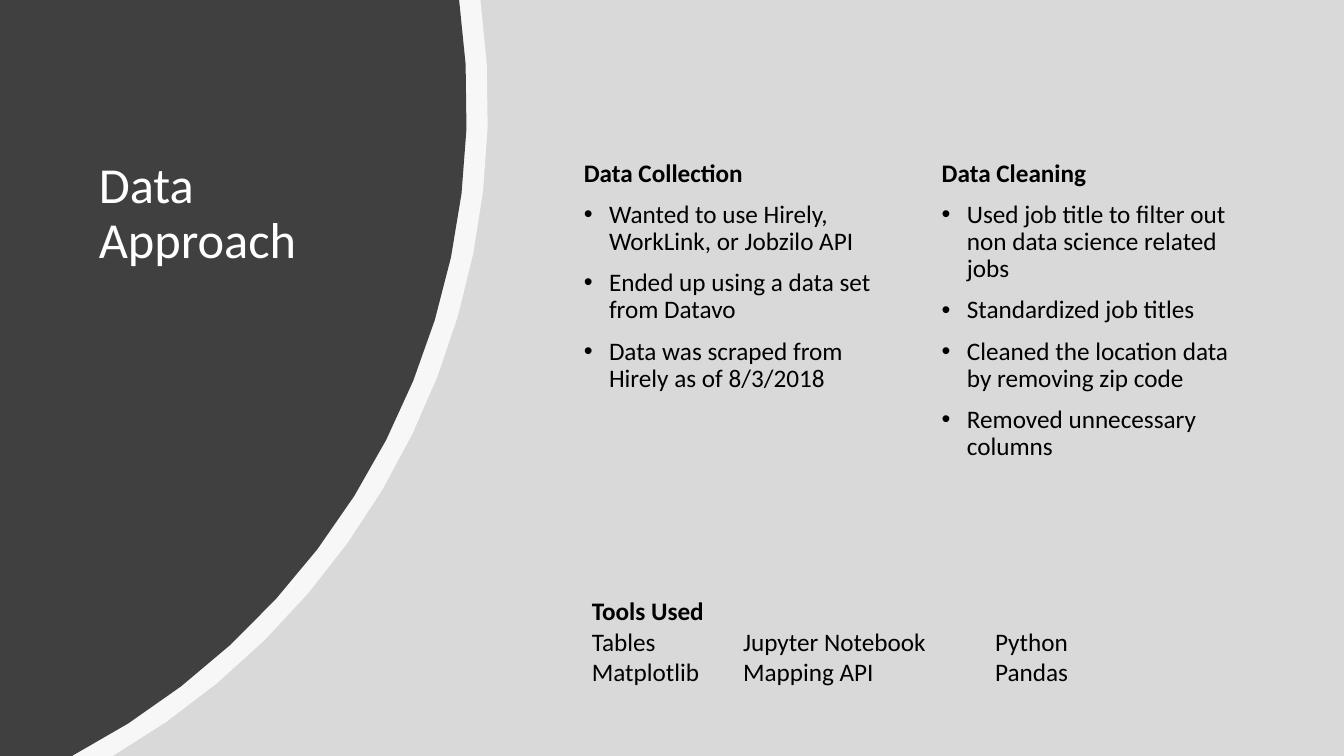
import math
from dataclasses import dataclass

from lxml import etree
from pptx import Presentation
from pptx.dml.color import RGBColor
from pptx.enum.shapes import MSO_SHAPE
from pptx.enum.text import MSO_ANCHOR, MSO_AUTO_SIZE, PP_ALIGN
from pptx.oxml.ns import qn
from pptx.util import Inches, Pt

RECTANGLE = MSO_SHAPE.RECTANGLE
TOP = MSO_ANCHOR.TOP
LEFT = PP_ALIGN.LEFT
NO_AUTOFIT = MSO_AUTO_SIZE.NONE
TWO_CONTENT_LAYOUT = 3
WIDTH, HEIGHT = 13.33, 7.5
ARC_STEPS = 14


@dataclass(frozen=True)
class Theme:
    font: str = "Calibri"
    title_size: int = 36
    body_size: int = 18
    background: str = "D9D9D9"
    panel: str = "404040"
    light: str = "FFFFFF"
    text: str = "000000"


THEME = Theme()

COLLECTION = (
    "Data Collection",
    ["Wanted to use Hirely, WorkLink, or Jobzilo API",
     "Ended up using a data set from Datavo",
     "Data was scraped from Hirely as of 8/3/2018"],
)
CLEANING = (
    "Data Cleaning",
    ["Used job title to filter out non data science related jobs",
     "Standardized job titles",
     "Cleaned the location data by removing zip code",
     "Removed unnecessary columns"],
)
TOOLS = (
    "Tools Used",
    [["Tables", "Jupyter Notebook", "Python"],
     ["Matplotlib", "Mapping API", "Pandas"]],
)


def format_font(paragraph, size, color, bold=False):
    font = paragraph.font
    font.name = THEME.font
    font.size = Pt(size)
    font.bold = bold
    font.color.rgb = RGBColor.from_string(color)


def place(shape, box):
    shape.left, shape.top, shape.width, shape.height = map(Inches, box)


def paint(shape, color, alpha=None):
    shape.shadow.inherit = False
    shape.fill.solid()
    shape.fill.fore_color.rgb = RGBColor.from_string(color)
    shape.line.fill.background()
    if alpha is not None:
        color_element = shape.element.spPr.find(qn("a:solidFill"))[0]
        etree.SubElement(color_element, qn("a:alpha"), val=str(alpha * 1000))


def add_disc_panel(slide, center_x, center_y, radius, color, alpha=None):
    """Fill the part of a large disc that lies on the slide."""
    start = math.asin(-center_y / radius)
    end = math.asin((HEIGHT - center_y) / radius)
    angles = [start + (end - start) * step / ARC_STEPS
              for step in range(ARC_STEPS + 1)]
    arc = [(Inches(center_x + radius * math.cos(angle)),
            Inches(center_y + radius * math.sin(angle))) for angle in angles]
    builder = slide.shapes.build_freeform(0, 0)
    builder.add_line_segments(arc + [(0, Inches(HEIGHT))], close=True)
    panel = builder.convert_to_shape()
    paint(panel, color, alpha)
    return panel


def add_backdrop(slide):
    background = slide.shapes.add_shape(
        RECTANGLE, 0, 0, Inches(WIDTH), Inches(HEIGHT))
    paint(background, THEME.background)
    rim = add_disc_panel(slide, -2.61, 1.05, 7.45, THEME.light, alpha=80)
    panel = add_disc_panel(slide, -2.64, 1.05, 7.27, THEME.panel)
    # Keep the backdrop behind the placeholders
    tree = slide.shapes.element
    for position, shape in enumerate((background, rim, panel), start=2):
        tree.insert(position, shape.element)


def fill_title(title, box, text):
    place(title, box)
    frame = title.text_frame
    frame.text = text
    frame.word_wrap = True
    frame.auto_size = NO_AUTOFIT
    frame.vertical_anchor = TOP
    paragraph = frame.paragraphs[0]
    paragraph.alignment = LEFT
    paragraph.line_spacing = 0.9
    format_font(paragraph, THEME.title_size, THEME.light)


def set_bullet(paragraph, bulleted):
    properties = paragraph._p.get_or_add_pPr()
    indent = Inches(0.25) if bulleted else 0
    properties.set("marL", str(indent))
    properties.set("indent", str(-indent))
    if bulleted:
        etree.SubElement(properties, qn("a:buFont"), typeface="Arial")
        etree.SubElement(properties, qn("a:buChar"), char="•")
    else:
        etree.SubElement(properties, qn("a:buNone"))


def fill_column(body, box, heading, items):
    place(body, box)
    frame = body.text_frame
    frame.text = "\n".join([heading] + items)
    frame.auto_size = NO_AUTOFIT
    frame.vertical_anchor = TOP
    for index, paragraph in enumerate(frame.paragraphs):
        set_bullet(paragraph, bulleted=index > 0)
        paragraph.line_spacing = 0.9
        paragraph.space_before = Pt(10)
        format_font(paragraph, THEME.body_size, THEME.text, bold=index == 0)


def add_tools(slide, box, heading, rows):
    text_box = slide.shapes.add_textbox(*map(Inches, box))
    frame = text_box.text_frame
    frame.word_wrap = True
    frame.margin_left = Inches(0.6)
    frame.text = "\n".join([heading] + ["\t".join(row) for row in rows])
    for index, paragraph in enumerate(frame.paragraphs):
        if index > 0:
            properties = paragraph._p.get_or_add_pPr()
            tabs = etree.SubElement(properties, qn("a:tabLst"))
            for stop in (1.5, 4):
                etree.SubElement(
                    tabs, qn("a:tab"), pos=str(Inches(stop)), algn="l")
        format_font(paragraph, THEME.body_size, THEME.text, bold=index == 0)


def build_data_approach(presentation):
    layout = presentation.slide_layouts[TWO_CONTENT_LAYOUT]
    slide = presentation.slides.add_slide(layout)
    add_backdrop(slide)
    fill_title(slide.shapes.title, (0.88, 1.54, 3.14, 2.36), "Data Approach")
    # Two columns of equal size
    for index, column in enumerate((COLLECTION, CLEANING)):
        box = (5.69 + index * 3.55, 1.54, 3.2, 4.77)
        fill_column(slide.placeholders[index + 1], box, *column)
    add_tools(slide, (5.27, 5.86, 6.17, 1.01), *TOOLS)


def main():
    presentation = Presentation()
    presentation.slide_width = Inches(WIDTH)
    presentation.slide_height = Inches(HEIGHT)
    build_data_approach(presentation)
    presentation.save("out.pptx")


if __name__ == "__main__":
    main()
